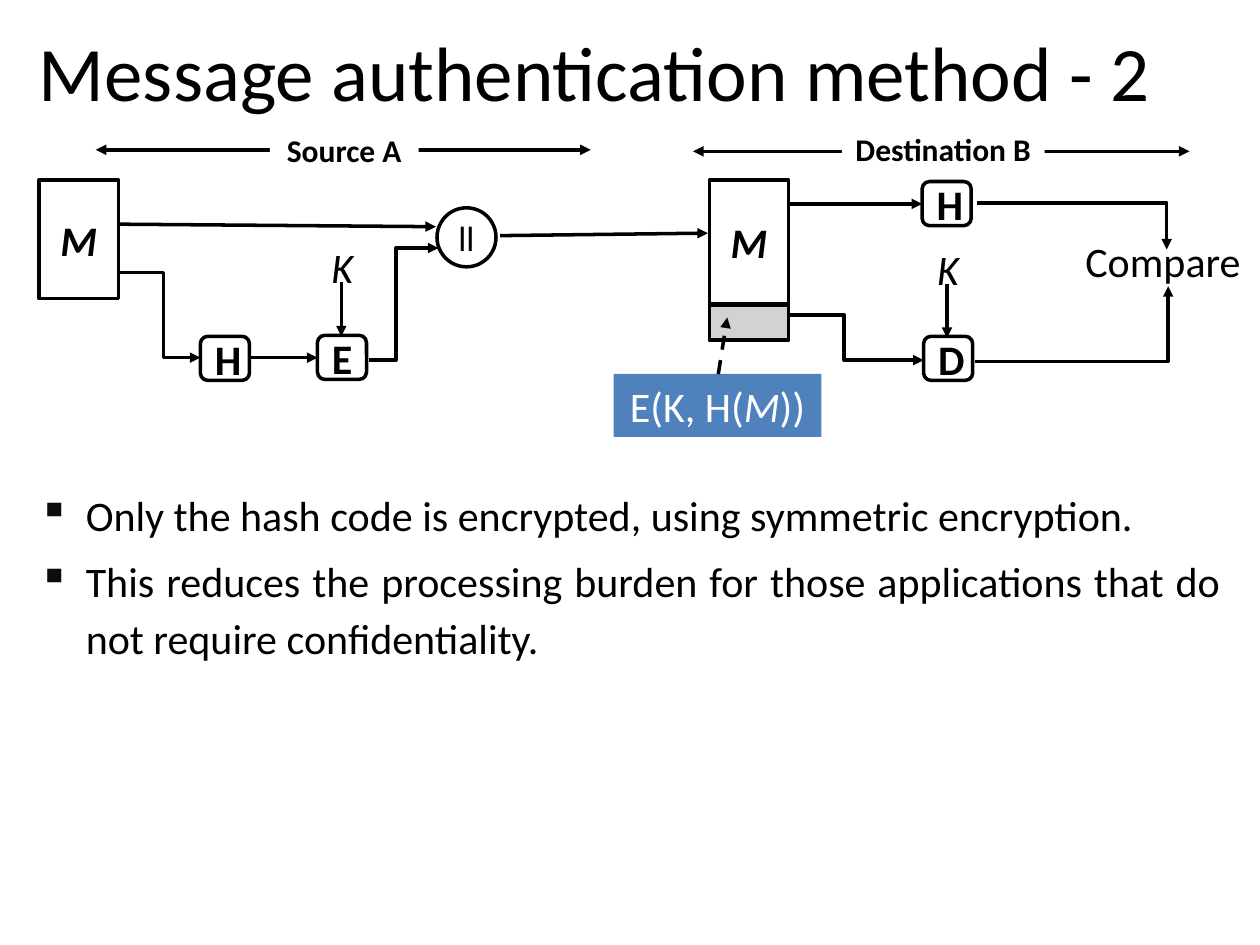
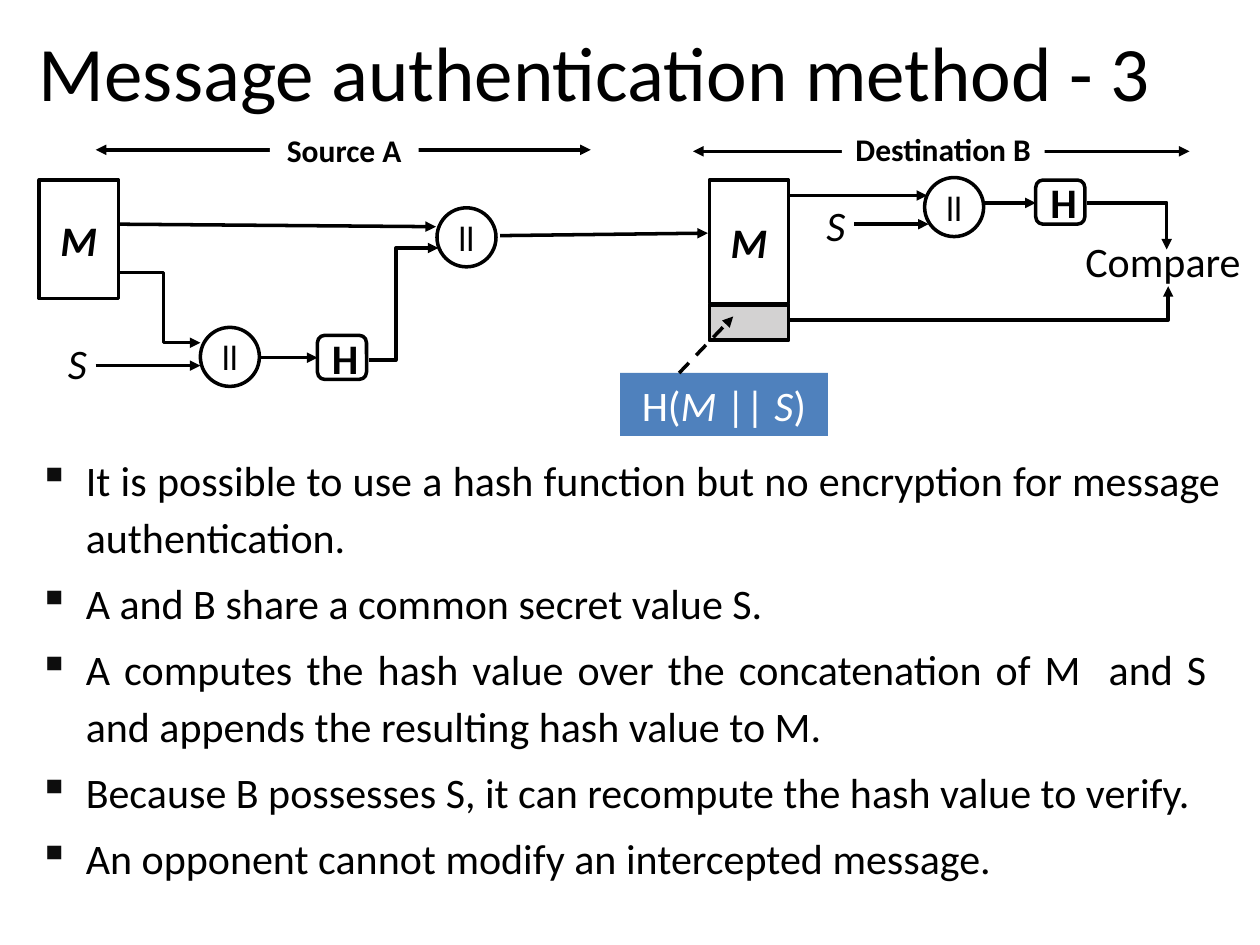
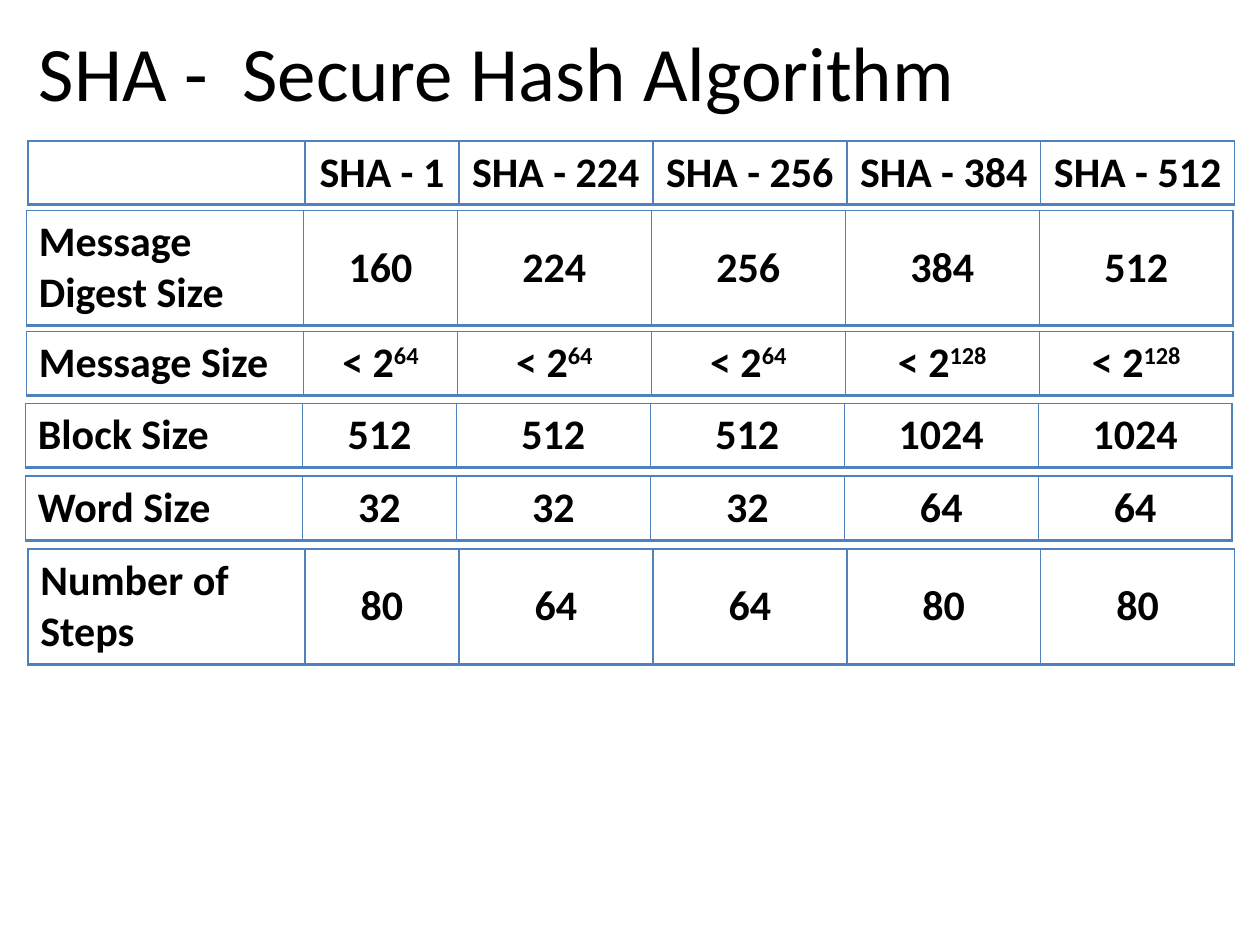
from dataclasses import dataclass

from lxml import etree
from pptx import Presentation
from pptx import util as u
from pptx.dml.color import RGBColor
from pptx.enum import dml, shapes, text
from pptx.oxml import ns

Kind = shapes.MSO_SHAPE
Align = text.PP_ALIGN


@dataclass(frozen=True)
class Theme:
    """Colours, font and type sizes that the slides share."""
    font: str = "Calibri"
    ink: str = "000000"
    paper: str = "FFFFFF"
    accent: str = "4F81BD"
    tag: str = "D3D2D2"
    bullet: str = "0D0D0D"
    title_size: int = 44
    body_size: int = 24
    concat_size: int = 20
    party_size: int = 18
    stroke: int = 2


THEME = Theme()
BOX_WIDTH, BOX_HEIGHT = 0.99, 0.89
CIRCLE = 1.19
LABEL_HEIGHT = 1.27
COLUMN_WIDTHS = [5.59, 3.1] + [3.91] * 4
ROW_HEIGHT, TALL_ROW_HEIGHT = 1.27, 2.29

METHOD_2_POINTS = [
    "Only the hash code is encrypted, using symmetric encryption.",
    "This reduces the processing burden for those applications that do not require confidentiality.",
]
METHOD_3_POINTS = [
    "It is possible to use a hash function but no encryption for message authentication.",
    "A and B share a common secret value S.",
    "A computes the hash value over the concatenation of M  and S  and appends the resulting hash value to M.",
    "Because B possesses S, it can recompute the hash value to verify.",
    "An opponent cannot modify an intercepted message.",
]
SHA_ROWS = [
    (0.56, 2.84, ROW_HEIGHT, ["", "SHA - 1", "SHA - 224", "SHA - 256", "SHA - 384", "SHA - 512"]),
    (0.53, 4.24, TALL_ROW_HEIGHT, ["Message Digest Size", "160", "224", "256", "384", "512"]),
    (0.53, 6.68, ROW_HEIGHT, ["Message Size", "< 2^64", "< 2^64", "< 2^64", "< 2^128", "< 2^128"]),
    (0.51, 8.13, ROW_HEIGHT, ["Block Size", "512", "512", "512", "1024", "1024"]),
    (0.51, 9.6, ROW_HEIGHT, ["Word Size", "32", "32", "32", "64", "64"]),
    (0.56, 11.07, TALL_ROW_HEIGHT, ["Number of Steps", "80", "64", "64", "80", "80"]),
]


def rgb(colour):
    """Turn a hex string into a colour."""
    return RGBColor.from_string(colour)


def cm(*lengths):
    """Turn centimetres into lengths."""
    return [u.Cm(length) for length in lengths]


def add_run(paragraph, words, size=THEME.body_size, colour=THEME.ink, bold=False, italic=False):
    """Append one formatted run."""
    run = paragraph.add_run()
    run.text = words
    run.font.name = THEME.font
    run.font.size = u.Pt(size)
    run.font.bold = bold
    run.font.italic = italic
    run.font.color.rgb = rgb(colour)
    return run


def add_titled_slide(deck, title):
    """Add a title-only slide with its title set."""
    slide = deck.slides.add_slide(deck.slide_layouts[5])
    heading = slide.shapes.title
    heading.left, heading.top, heading.width, heading.height = cm(0.53, 0.3, 24.33, 2.24)
    frame = heading.text_frame
    frame.auto_size = text.MSO_AUTO_SIZE.NONE
    frame.vertical_anchor = text.MSO_ANCHOR.MIDDLE
    frame.paragraphs[0].alignment = Align.LEFT
    add_run(frame.paragraphs[0], title, THEME.title_size)
    return slide


def add_bullets(slide, top, height, points):
    """Add the justified list below a diagram."""
    frame = slide.shapes.add_textbox(*cm(0.53, top, 24.33, height)).text_frame
    frame.word_wrap = True
    for index, point in enumerate(points):
        paragraph = frame.add_paragraph() if index else frame.paragraphs[0]
        paragraph.alignment = Align.JUSTIFY
        paragraph.line_spacing = 1.14
        paragraph.space_before = u.Pt(THEME.body_size * 0.2)
        properties = paragraph._p.get_or_add_pPr()
        properties.set("marL", str(u.Cm(0.95)))
        properties.set("indent", str(-u.Cm(0.95)))
        bullet_colour = etree.SubElement(properties, ns.qn("a:buClr"))
        etree.SubElement(bullet_colour, ns.qn("a:srgbClr"), val=THEME.bullet)
        etree.SubElement(properties, ns.qn("a:buChar"), char="▪")
        add_run(paragraph, point)


def add_block(slide, kind, bounds, fill=THEME.paper, outlined=True):
    """Add a filled shape and return its centred paragraph."""
    block = slide.shapes.add_shape(kind, *cm(*bounds))
    block.shadow.inherit = False
    block.fill.solid()
    block.fill.fore_color.rgb = rgb(fill)
    if outlined:
        block.line.color.rgb = rgb(THEME.ink)
        block.line.width = u.Pt(THEME.stroke)
    else:
        block.line.fill.background()
    block.text_frame.word_wrap = kind != Kind.OVAL
    block.text_frame.vertical_anchor = text.MSO_ANCHOR.MIDDLE
    paragraph = block.text_frame.paragraphs[0]
    paragraph.alignment = Align.CENTER
    return paragraph


def add_process(slide, left, top, letter):
    """Add a rounded box for a hash, encryption or decryption step."""
    step = add_block(slide, Kind.ROUNDED_RECTANGLE, (left, top, BOX_WIDTH, BOX_HEIGHT))
    add_run(step, letter, bold=True)


def add_concat(slide, left, top):
    """Add a concatenation circle."""
    add_run(add_block(slide, Kind.OVAL, (left, top, CIRCLE, CIRCLE)), "ll", THEME.concat_size)


def add_message(slide, left, height):
    """Add a message block."""
    message = add_block(slide, Kind.RECTANGLE, (left, 3.63, 1.6, height))
    add_run(message, "M", bold=True, italic=True)


def add_label(slide, left, top, words, width=BOX_WIDTH, italic=True, align=Align.LEFT):
    """Add free-standing diagram text."""
    frame = slide.shapes.add_textbox(*cm(left, top, width, LABEL_HEIGHT)).text_frame
    frame.word_wrap = True
    frame.paragraphs[0].alignment = align
    add_run(frame.paragraphs[0], words, italic=italic)


def add_flow(slide, *stops, both_ends=False, dashed=False):
    """Add an arrow through the stops, straight or with corners."""
    points = [cm(*stop) for stop in stops]
    if len(points) == 2:
        flow = slide.shapes.add_connector(shapes.MSO_CONNECTOR.STRAIGHT, *points[0], *points[1])
    else:
        outline = slide.shapes.build_freeform(*points[0])
        outline.add_line_segments(points[1:], close=False)
        flow = outline.convert_to_shape()
        flow.fill.background()
    flow.line.color.rgb = rgb(THEME.ink)
    flow.line.width = u.Pt(THEME.stroke)
    if dashed:
        flow.line.dash_style = dml.MSO_LINE.DASH
    stroke = flow.line._get_or_add_ln()
    for end in ("a:headEnd", "a:tailEnd") if both_ends else ("a:tailEnd",):
        etree.SubElement(stroke, ns.qn(end), type="triangle")
    etree.SubElement(flow._element.spPr, ns.qn("a:effectLst"))


def add_party(slide, start, end, y, name, bounds):
    """Add a span arrow with the party's name over its middle."""
    add_flow(slide, (start, y), (end, y), both_ends=True)
    party = add_block(slide, Kind.RECTANGLE, bounds, outlined=False)
    add_run(party, name, THEME.party_size, bold=True)


def add_key(slide, left, top):
    """Add the key K with its arrow down to a step."""
    add_label(slide, left, top, "K")
    add_flow(slide, (left + 0.45, top + 0.94), (left + 0.45, top + 2.03))


def add_callout(slide, left, top, runs, pointer):
    """Add the blue formula box and its dashed pointer to the tag."""
    formula = add_block(slide, Kind.RECTANGLE, (left, top, 4.19, LABEL_HEIGHT), THEME.accent, False)
    for words, italic in runs:
        add_run(formula, words, colour=THEME.paper, italic=italic)
    add_flow(slide, *pointer, dashed=True)


def add_exchange(slide, branch_y, last_step, compare_from, tag_route):
    """Add the parts that both authentication diagrams share."""
    add_message(slide, 0.79, 2.39)
    add_flow(slide, (2.39, 5.49), (3.3, 5.49), (3.3, branch_y), (4.04, branch_y))
    add_flow(slide, (2.39, 4.52), (8.79, 4.57))
    add_flow(slide, (7.44, 7.26), (7.98, 7.26), (7.98, 5), (8.84, 5))
    add_party(slide, 1.93, 11.91, 3.02, "Source A", (5.44, 2.67, 3, 0.69))
    add_party(slide, 13.97, 23.98, 3.05, "Destination B", (16.97, 2.62, 4.09, 0.76))
    add_process(slide, 6.4, 6.76, last_step)
    add_concat(slide, 8.81, 4.19)
    add_flow(slide, (5.03, 7.21), (6.4, 7.21))
    add_message(slide, 14.3, 2.49)
    add_block(slide, Kind.RECTANGLE, (14.3, 6.15, 1.6, 0.71), THEME.tag)
    add_flow(slide, (10.08, 4.75), (14.27, 4.7))
    add_label(slide, 21.59, 4.62, "Compare", 3.71, False, Align.CENTER)
    add_flow(slide, (compare_from, 4.09), (23.52, 4.09), (23.52, 5.03))
    tag_x, tag_y = tag_route
    add_flow(slide, (tag_x, tag_y), (23.55, tag_y), (23.55, 5.77))


def add_encrypted_hash(slide):
    """Draw the method that encrypts only the hash code."""
    add_exchange(slide, 7.21, "E", 19.69, (19.66, 7.29))
    for left, top, letter in ((4.04, 6.78, "H"), (18.59, 3.66, "H"), (18.62, 6.78, "D")):
        add_process(slide, left, top, letter)
    add_key(slide, 6.43, 4.75)
    add_key(slide, 18.64, 4.78)
    add_flow(slide, (15.9, 4.11), (18.59, 4.11))
    add_flow(slide, (15.9, 6.35), (17.02, 6.35), (17.02, 7.26), (18.62, 7.26))
    add_callout(slide, 12.37, 7.54, [("E(K, H(", False), ("M", True), ("))", False)],
                ((14.48, 7.54), (14.66, 6.4)))


def add_secret_hash(slide):
    """Draw the method that hashes the message with a shared secret."""
    add_exchange(slide, 6.91, "H", 21.92, (15.9, 6.45))
    add_process(slide, 20.88, 3.63, "H")
    add_concat(slide, 4.04, 6.6)
    add_concat(slide, 18.64, 3.58)
    add_label(slide, 1.12, 6.68, "S")
    add_label(slide, 16.41, 3.89, "S")
    add_flow(slide, (1.93, 7.37), (4.04, 7.37))
    add_flow(slide, (17.22, 4.52), (18.72, 4.52))
    add_flow(slide, (15.9, 3.94), (18.69, 3.94))
    add_flow(slide, (19.86, 4.09), (20.88, 4.09))
    add_callout(slide, 12.5, 7.52,
                [("H(", False), ("M ", True), ("|| ", False), ("S", True), (")", False)],
                ((13.69, 7.52), (14.78, 6.38)))


def format_cell(cell):
    """Give a cell its borders and leave it unfilled."""
    properties = cell._tc.get_or_add_tcPr()
    for side, width in (("L", 1), ("R", 1), ("T", 1), ("B", 2)):
        border = etree.SubElement(properties, ns.qn(f"a:ln{side}"), w=str(u.Pt(width)))
        fill = etree.SubElement(border, ns.qn("a:solidFill"))
        etree.SubElement(fill, ns.qn("a:srgbClr"), val=THEME.accent)
    cell.fill.background()
    cell.vertical_anchor = text.MSO_ANCHOR.MIDDLE


def add_table_row(slide, left, top, height, values):
    """Add one comparison row as its own table; ^ starts an exponent."""
    bounds = cm(left, top, sum(COLUMN_WIDTHS), height)
    table = slide.shapes.add_table(1, len(values), *bounds).table
    table.first_row = False
    table.horz_banding = False
    for index, value in enumerate(values):
        table.columns[index].width = u.Cm(COLUMN_WIDTHS[index])
        cell = table.cell(0, index)
        format_cell(cell)
        paragraph = cell.text_frame.paragraphs[0]
        paragraph.alignment = Align.CENTER if index else Align.LEFT
        base, _, exponent = value.partition("^")
        if base:
            add_run(paragraph, base, bold=True)
        if exponent:
            raised = add_run(paragraph, exponent, bold=True)
            raised._r.get_or_add_rPr().set("baseline", "30000")


def main():
    """Build and save the three slides."""
    deck = Presentation()
    deck.slide_width, deck.slide_height = cm(25.4, 19.05)

    method_2 = add_titled_slide(deck, "Message authentication method - 2")
    add_bullets(method_2, 9.6, 7.21, METHOD_2_POINTS)
    add_encrypted_hash(method_2)

    method_3 = add_titled_slide(deck, "Message authentication method - 3")
    add_bullets(method_3, 8.89, 8.84, METHOD_3_POINTS)
    add_secret_hash(method_3)

    sha = add_titled_slide(deck, "SHA -  Secure Hash Algorithm")
    for row in SHA_ROWS:
        add_table_row(sha, *row)

    deck.save("out.pptx")


if __name__ == "__main__":
    main()
